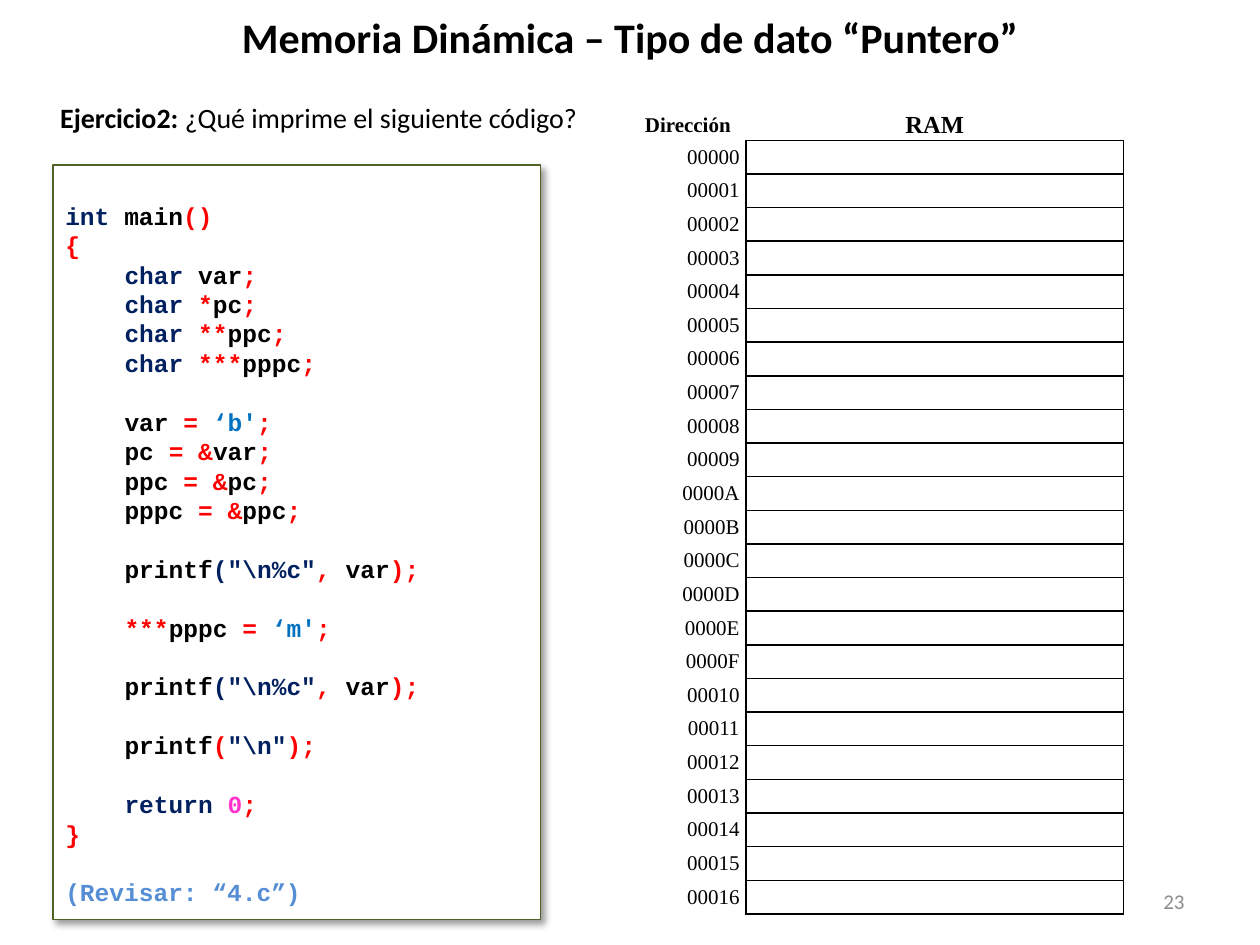
from lxml import etree
from pptx import Presentation
from pptx.dml.color import RGBColor
from pptx.enum.shapes import MSO_SHAPE
from pptx.enum.text import MSO_ANCHOR, PP_ALIGN
from pptx.oxml import parse_xml
from pptx.oxml.ns import nsdecls, qn
from pptx.util import Inches, Pt

RECTANGLE = MSO_SHAPE.RECTANGLE
TOP, MIDDLE = MSO_ANCHOR.TOP, MSO_ANCHOR.MIDDLE
LEFT, CENTER = PP_ALIGN.LEFT, PP_ALIGN.CENTER
RIGHT, JUSTIFY = PP_ALIGN.RIGHT, PP_ALIGN.JUSTIFY

BLACK, WHITE, RED, NAVY = "000000", "FFFFFF", "FF0000", "002060"
BLUE, PINK, SKY, GREEN, GRAY = "0070C0", "FF33CC", "558ED5", "4F6228", "8C8C8C"
SANS, MONO, SERIF = "Calibri", "Courier New", "Times New Roman"
CODE_LINE = 16.8
CODE_INDENT = 0.47

END = (";", RED)
PRINT_VAR = [("printf", BLACK), ('("\\n%c"', NAVY), (", ", RED), ("var", BLACK), (");", RED)]


def declare(stars, name):
    return [("char ", NAVY), (stars, RED), (name, BLACK), END]


def point(name, target):
    return [(name + " ", BLACK), ("= &", RED), (target, BLACK), END]


CODE = [
    (0, 0, [("int ", NAVY), ("main", BLACK), ("()", RED)]),
    (0, 0, [("{", RED)]),
    (0, 1, [("char ", NAVY), ("var", BLACK), END]),
    (0, 1, declare("*", "pc")),
    (0, 1, declare("**", "ppc")),
    (0, 1, declare("***", "pppc")),
    (1, 1, [("var ", BLACK), ("= ", RED), ("‘b'", BLUE), END]),
    (0, 1, point("pc", "var")),
    (0, 1, point("ppc", "pc")),
    (0, 1, point("pppc", "ppc")),
    (1, 1, PRINT_VAR),
    (1, 1, [("***", RED), ("pppc ", BLACK), ("= ", RED), ("‘m'", BLUE), END]),
    (1, 1, PRINT_VAR),
    (1, 1, [("printf", BLACK), ("(", RED), ('"\\n"', NAVY), (");", RED)]),
    (1, 1, [("return ", NAVY), ("0", PINK), END]),
    (0, 0, [("}", RED)]),
    (1, 0, [("(Revisar: “4.c”)", SKY)]),
]


def color(value):
    return RGBColor.from_string(value)


def style(font, name, size, value=None, bold=None):
    font.name = name
    font.size = Pt(size)
    font.bold = bold
    if value:
        font.color.rgb = color(value)


def add_label(slide, box, text, size, value=BLACK, bold=False, align=LEFT, anchor=MIDDLE):
    frame = slide.shapes.add_textbox(*map(Inches, box)).text_frame
    frame.word_wrap = True
    frame.vertical_anchor = anchor
    paragraph = frame.paragraphs[0]
    paragraph.alignment = align
    style(paragraph.font, SANS, size, value, bold)
    paragraph.add_run().text = text
    return paragraph


def add_question(slide, box):
    paragraph = add_label(slide, box, "Ejercicio2: ", 16, align=JUSTIFY, anchor=TOP)
    paragraph.runs[0].font.bold = True
    paragraph.add_run().text = "¿Qué imprime el siguiente código?"


def add_shadow(shape):
    shape.shadow.inherit = False
    effects = shape._element.spPr.find(qn("a:effectLst"))
    effects.append(parse_xml(
        f'<a:outerShdw {nsdecls("a")} blurRad="{Pt(4)}" dist="{Pt(3)}" dir="2700000" '
        'algn="tl" rotWithShape="0"><a:srgbClr val="000000"><a:alpha val="40000"/>'
        '</a:srgbClr></a:outerShdw>'))


def add_code(slide, box):
    shape = slide.shapes.add_shape(RECTANGLE, *map(Inches, box))
    shape.fill.solid()
    shape.fill.fore_color.rgb = color(WHITE)
    shape.line.color.rgb = color(GREEN)
    shape.line.width = Pt(0.75)
    add_shadow(shape)
    frame = shape.text_frame
    frame.word_wrap = True
    frame.vertical_anchor = TOP
    frame.margin_top = Inches(0.05) + Pt(CODE_LINE)
    for index, (gap, indent, parts) in enumerate(CODE):
        paragraph = frame.add_paragraph() if index else frame.paragraphs[0]
        paragraph.alignment = LEFT
        paragraph.line_spacing = Pt(CODE_LINE)
        paragraph.space_before = Pt(gap * CODE_LINE)
        paragraph._p.get_or_add_pPr().set("marL", str(Inches(indent * CODE_INDENT)))
        style(paragraph.font, MONO, 14, bold=True)
        for text, value in parts:
            run = paragraph.add_run()
            run.text = text
            run.font.color.rgb = color(value)


def set_borders(cell, sides):
    properties = cell._tc.get_or_add_tcPr()
    for side in "LRTB":
        line = etree.SubElement(properties, qn(f"a:ln{side}"), w=str(Pt(1)))
        if side in sides:
            fill = etree.SubElement(line, qn("a:solidFill"))
            etree.SubElement(fill, qn("a:srgbClr"), val=BLACK)
        else:
            etree.SubElement(line, qn("a:noFill"))
    cell.fill.background()


def fill_cell(cell, text, size, align, bold):
    cell.vertical_anchor = MIDDLE
    cell.margin_left = cell.margin_right = Inches(0.05)
    cell.margin_top = cell.margin_bottom = 0
    paragraph = cell.text_frame.paragraphs[0]
    paragraph.alignment = align
    style(paragraph.font, SERIF, size, BLACK, bold)
    if text:
        paragraph.add_run().text = text
    else:
        etree.SubElement(paragraph._p, qn("a:endParaRPr"), sz=str(size * 100))


def add_memory(slide, box, addresses=23, header_height=0.23):
    widths = [0.92, 0.62] + [0.34] * 7
    last = len(widths) - 1
    frame = slide.shapes.add_table(addresses + 1, len(widths), *map(Inches, box))
    table = frame.table
    table.first_row = table.horz_banding = False
    for column, width in zip(table.columns, widths):
        column.width = Inches(width)
    for index, row in enumerate(table.rows):
        row.height = Inches((box[3] - header_height) / addresses if index else header_height)
        for position, cell in enumerate(row.cells):
            if index == 0:
                text = {0: "Dirección", 1: "RAM"}.get(position, "")
                fill_cell(cell, text, 14 if position else 12, CENTER, True)
                set_borders(cell, "B" if position else "")
            else:
                text = "" if position else f"{index - 1:05X}"
                fill_cell(cell, text, 12, RIGHT, False)
                sides = {0: "R", 1: "LTB", last: "RTB"}.get(position, "TB")
                set_borders(cell, sides)
    table.cell(0, 1).merge(table.cell(0, last))


def main():
    presentation = Presentation()
    presentation.slide_width = Inches(10)
    presentation.slide_height = Inches(7.5)
    slide = presentation.slides.add_slide(presentation.slide_layouts[6])
    add_label(slide, (7.17, 6.95, 2.33, 0.4), "23", 12, GRAY, align=RIGHT)
    add_code(slide, (0.42, 1.31, 3.87, 5.99))
    add_question(slide, (0.38, 0.75, 4.54, 0.37))
    add_memory(slide, (5, 0.88, 3.91, 6.37))
    add_label(slide, (0.5, 0, 9, 0.58), "Memoria Dinámica – Tipo de dato “Puntero”",
              24, bold=True, align=CENTER)
    presentation.save("out.pptx")


if __name__ == "__main__":
    main()
